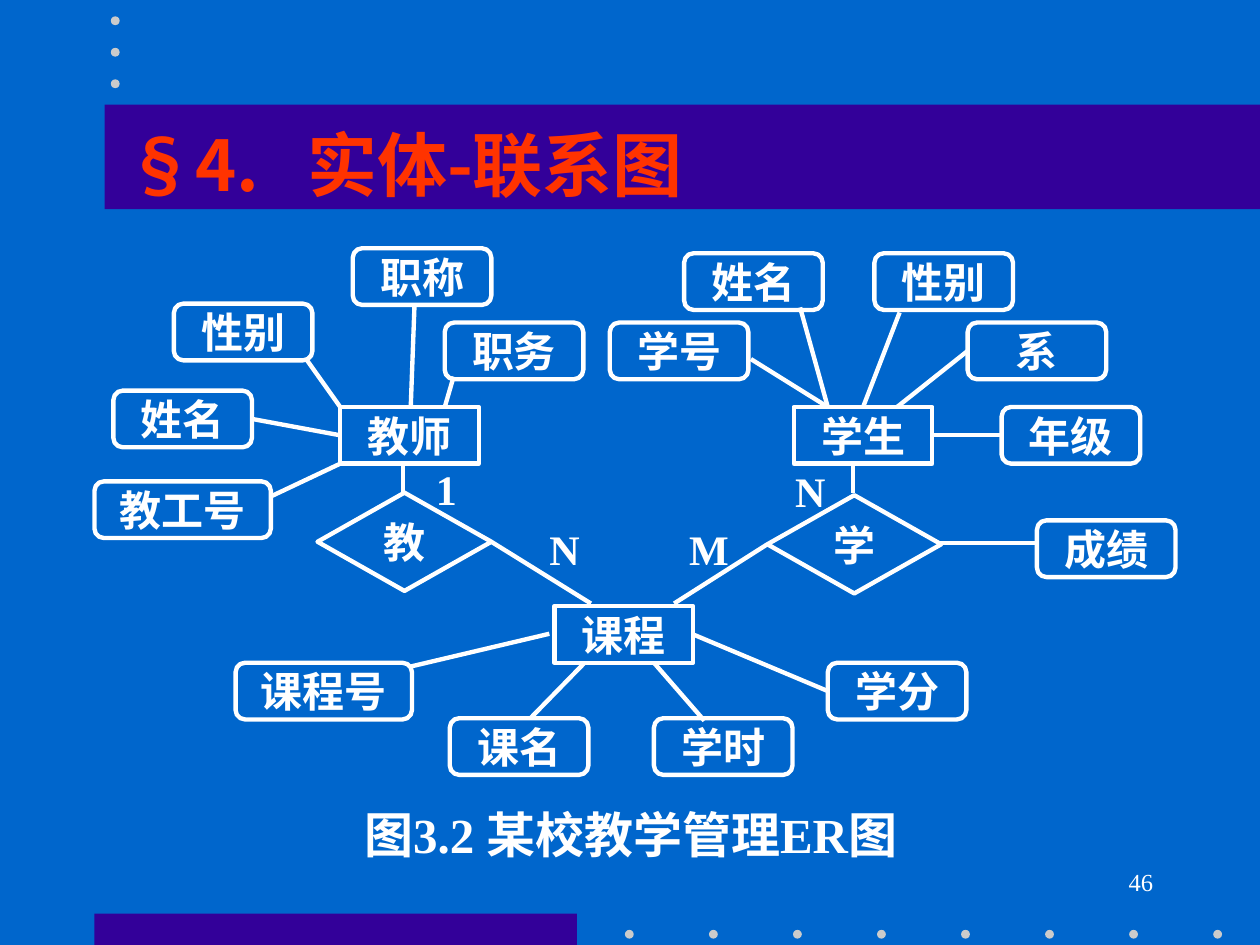
from dataclasses import dataclass
from typing import Union

import pptx
import pptx.dml.color
import pptx.enum.lang
import pptx.enum.shapes
import pptx.enum.text
import pptx.oxml.ns
import pptx.util
from lxml import etree

SLIDE_WIDTH = pptx.util.Inches(10)
SLIDE_HEIGHT = pptx.util.Inches(7.5)
COLUMNS, ROWS = 100, 75
COLORS = {"background": "0066CC", "band": "330099", "dot": "CBCBCB", "title": "FF3300", "ink": "FFFFFF"}
SANS, SERIF = "Noto Sans CJK SC", "Times New Roman"
LINE_WIDTH = pptx.util.Pt(2.5)
SHAPES = pptx.enum.shapes.MSO_SHAPE
ALIGN = pptx.enum.text.PP_ALIGN
ANCHOR = pptx.enum.text.MSO_ANCHOR
TOP, LEFT, BOTTOM, RIGHT = range(4)


@dataclass(frozen=True)
class Box:
    column: float
    row: float
    width: float
    height: float


@dataclass(frozen=True)
class Style:
    size: float = 24
    font: str = SERIF
    color: str = "ink"
    bold: bool = True
    align: ALIGN = ALIGN.CENTER
    anchor: ANCHOR = ANCHOR.MIDDLE
    inset: tuple[float, float] = (0, 0)


@dataclass(frozen=True)
class Kind:
    outline: SHAPES
    width: float
    height: float


@dataclass(frozen=True)
class Node:
    name: str
    label: str
    kind: Kind
    column: float
    row: float


@dataclass(frozen=True)
class Point:
    column: float
    row: float


@dataclass(frozen=True)
class Joint:
    name: str
    side: int


@dataclass(frozen=True)
class Link:
    start: Union[Point, Joint]
    end: Union[Point, Joint]


@dataclass(frozen=True)
class Caption:
    text: str
    box: Box
    style: Style


ENTITY = Kind(SHAPES.RECTANGLE, 11, 4.5)
ATTRIBUTE = Kind(SHAPES.FLOWCHART_ALTERNATE_PROCESS, 11, 4.5)
WIDE_ATTRIBUTE = Kind(SHAPES.FLOWCHART_ALTERNATE_PROCESS, 14, 4.5)
RELATION = Kind(SHAPES.FLOWCHART_DECISION, 13.8, 7.8)

NODES = [
    Node("teacher", "教师", ENTITY, 27, 32.3),
    Node("student", "学生", ENTITY, 63, 32.3),
    Node("course", "课程", ENTITY, 44, 48.1),
    Node("student number", "学号", ATTRIBUTE, 48.4, 25.6),
    Node("student name", "姓名", ATTRIBUTE, 54.3, 20.1),
    Node("department", "系", ATTRIBUTE, 76.8, 25.6),
    Node("grade", "年级", ATTRIBUTE, 79.5, 32.3),
    Node("duty", "职务", ATTRIBUTE, 35.3, 25.6),
    Node("student sex", "性别", ATTRIBUTE, 69.4, 20.1),
    Node("rank", "职称", ATTRIBUTE, 28, 19.7),
    Node("teacher sex", "性别", ATTRIBUTE, 13.8, 24.1),
    Node("teacher name", "姓名", ATTRIBUTE, 9, 31),
    Node("teacher number", "教工号", WIDE_ATTRIBUTE, 7.5, 38.2),
    Node("teaches", "教", RELATION, 25.2, 39.1),
    Node("learns", "学", RELATION, 60.9, 39.3),
    Node("score", "成绩", ATTRIBUTE, 82.3, 41.3),
    Node("credit", "学分", ATTRIBUTE, 65.7, 52.6),
    Node("hours", "学时", ATTRIBUTE, 51.9, 57),
    Node("course name", "课名", ATTRIBUTE, 35.7, 57),
    Node("course number", "课程号", WIDE_ATTRIBUTE, 18.7, 52.6),
]

LINKS = [
    Link(Point(32, 36.8), Point(32, 39.1)),
    Link(Point(67.7, 36.8), Point(67.7, 39.1)),
    Link(Joint("teaches", RIGHT), Point(46.9, 47.9)),
    Link(Joint("learns", LEFT), Point(53.5, 47.9)),
    Link(Point(43.6, 50.3), Point(32.6, 52.9)),
    Link(Point(46.4, 52.6), Point(42.1, 57)),
    Link(Point(51.9, 52.6), Point(55.9, 57.2)),
    Link(Joint("course", RIGHT), Joint("credit", LEFT)),
    Link(Point(74.4, 43.1), Point(82.3, 43.1)),
    Link(Joint("student", RIGHT), Joint("grade", LEFT)),
    Link(Point(71.2, 32.3), Joint("department", LEFT)),
    Link(Point(68.5, 32.3), Point(71.4, 24.8)),
    Link(Point(65.7, 32.3), Point(63.5, 24.4)),
    Link(Point(65.7, 32.3), Point(59.6, 28.5)),
    Link(Point(35.3, 32.3), Point(36, 29.9)),
    Link(Point(32.6, 32.3), Point(32.9, 24.2)),
    Link(Point(27, 32.3), Point(24.3, 28.5)),
    Link(Joint("teacher", LEFT), Joint("teacher name", RIGHT)),
    Link(Point(27, 36.8), Point(21.5, 39.4)),
]

CARDINALITY = Style(align=ALIGN.JUSTIFY)
CAPTIONS = [
    Caption("46", Box(71.7, 68.3, 20.8, 5),
            Style(14, bold=False, align=ALIGN.RIGHT, anchor=ANCHOR.TOP, inset=(1, 0.5))),
    Caption("§4.\t实体-联系图", Box(9, 9.1, 49.4, 7.7),
            Style(40, SANS, "title", align=ALIGN.LEFT, inset=(1, 0.5))),
    Caption("图3.2 某校教学管理ER图", Box(26.7, 63.9, 46.7, 4.5), Style(28)),
    Caption("M", Box(54.7, 41.3, 6.8, 4.5), CARDINALITY),
    Caption("N", Box(63.1, 36.7, 6.8, 4.5), CARDINALITY),
    Caption("1", Box(34.6, 36.5, 6.8, 4.5), CARDINALITY),
    Caption("N", Box(43.6, 41.3, 6.8, 4.5), CARDINALITY),
]
TITLE_TAB = 14.4

BANDS = [Box(7.5, 72.5, 38.3, 2.5), Box(8.3, 8.3, 91.7, 8.3)]
DOT_SIZE = 0.7
DOTS = [Point(49.6 + 6.67 * step, 73.8) for step in range(8)]
DOTS += [Point(8.8, 1.3 + 2.5 * step) for step in range(3)]


def across(columns: float) -> int:
    return round(SLIDE_WIDTH * columns / COLUMNS)


def down(rows: float) -> int:
    return round(SLIDE_HEIGHT * rows / ROWS)


def frame(box: Box) -> tuple[int, int, int, int]:
    return across(box.column), down(box.row), across(box.width), down(box.height)


def color(name: str) -> pptx.dml.color.RGBColor:
    return pptx.dml.color.RGBColor.from_string(COLORS[name])


def write(shape, text: str, style: Style) -> None:
    text_frame = shape.text_frame
    text_frame.word_wrap = True
    text_frame.vertical_anchor = style.anchor
    text_frame.margin_left = text_frame.margin_right = across(style.inset[0])
    text_frame.margin_top = text_frame.margin_bottom = down(style.inset[1])
    paragraph = text_frame.paragraphs[0]
    paragraph.alignment = style.align
    if "\t" in text:
        tabs = etree.SubElement(paragraph._p.get_or_add_pPr(), pptx.oxml.ns.qn("a:tabLst"))
        etree.SubElement(tabs, pptx.oxml.ns.qn("a:tab"), pos=str(across(TITLE_TAB)), algn="l")
    run = paragraph.add_run()
    run.text = text
    run.font.size = pptx.util.Pt(style.size)
    run.font.bold = style.bold
    run.font.color.rgb = color(style.color)
    run.font.name = style.font
    run.font.language_id = pptx.enum.lang.MSO_LANGUAGE_ID.SIMPLIFIED_CHINESE
    etree.SubElement(run._r.get_or_add_rPr(), pptx.oxml.ns.qn("a:ea"), typeface=SANS)


def draw_solid(slide, outline: SHAPES, box: Box, fill: str) -> None:
    shape = slide.shapes.add_shape(outline, *frame(box))
    shape.shadow.inherit = False
    shape.fill.solid()
    shape.fill.fore_color.rgb = color(fill)
    shape.line.fill.background()


def draw_node(slide, node: Node):
    box = Box(node.column, node.row, node.kind.width, node.kind.height)
    shape = slide.shapes.add_shape(node.kind.outline, *frame(box))
    shape.shadow.inherit = False
    shape.fill.background()
    shape.line.color.rgb = color("ink")
    shape.line.width = LINE_WIDTH
    write(shape, node.label, Style())
    return shape


def draw_link(slide, link: Link, nodes: dict) -> None:
    ends = [(across(end.column), down(end.row)) if isinstance(end, Point) else (0, 0)
            for end in (link.start, link.end)]
    connector = slide.shapes.add_connector(pptx.enum.shapes.MSO_CONNECTOR.STRAIGHT, *ends[0], *ends[1])
    for end, join in ((link.start, connector.begin_connect), (link.end, connector.end_connect)):
        if isinstance(end, Joint):
            join(nodes[end.name], end.side)
    connector.line.color.rgb = color("ink")
    connector.line.width = LINE_WIDTH
    etree.SubElement(connector._element.spPr, pptx.oxml.ns.qn("a:effectLst"))


def main() -> None:
    presentation = pptx.Presentation()
    presentation.slide_width, presentation.slide_height = SLIDE_WIDTH, SLIDE_HEIGHT
    slide = presentation.slides.add_slide(presentation.slide_layouts[6])
    slide.background.fill.solid()
    slide.background.fill.fore_color.rgb = color("background")
    for band in BANDS:
        draw_solid(slide, SHAPES.RECTANGLE, band, "band")
    for dot in DOTS:
        draw_solid(slide, SHAPES.OVAL, Box(dot.column, dot.row, DOT_SIZE, DOT_SIZE), "dot")
    nodes = {node.name: draw_node(slide, node) for node in NODES}
    for link in LINKS:
        draw_link(slide, link, nodes)
    for caption in CAPTIONS:
        write(slide.shapes.add_textbox(*frame(caption.box)), caption.text, caption.style)
    presentation.save("out.pptx")


if __name__ == "__main__":
    main()
